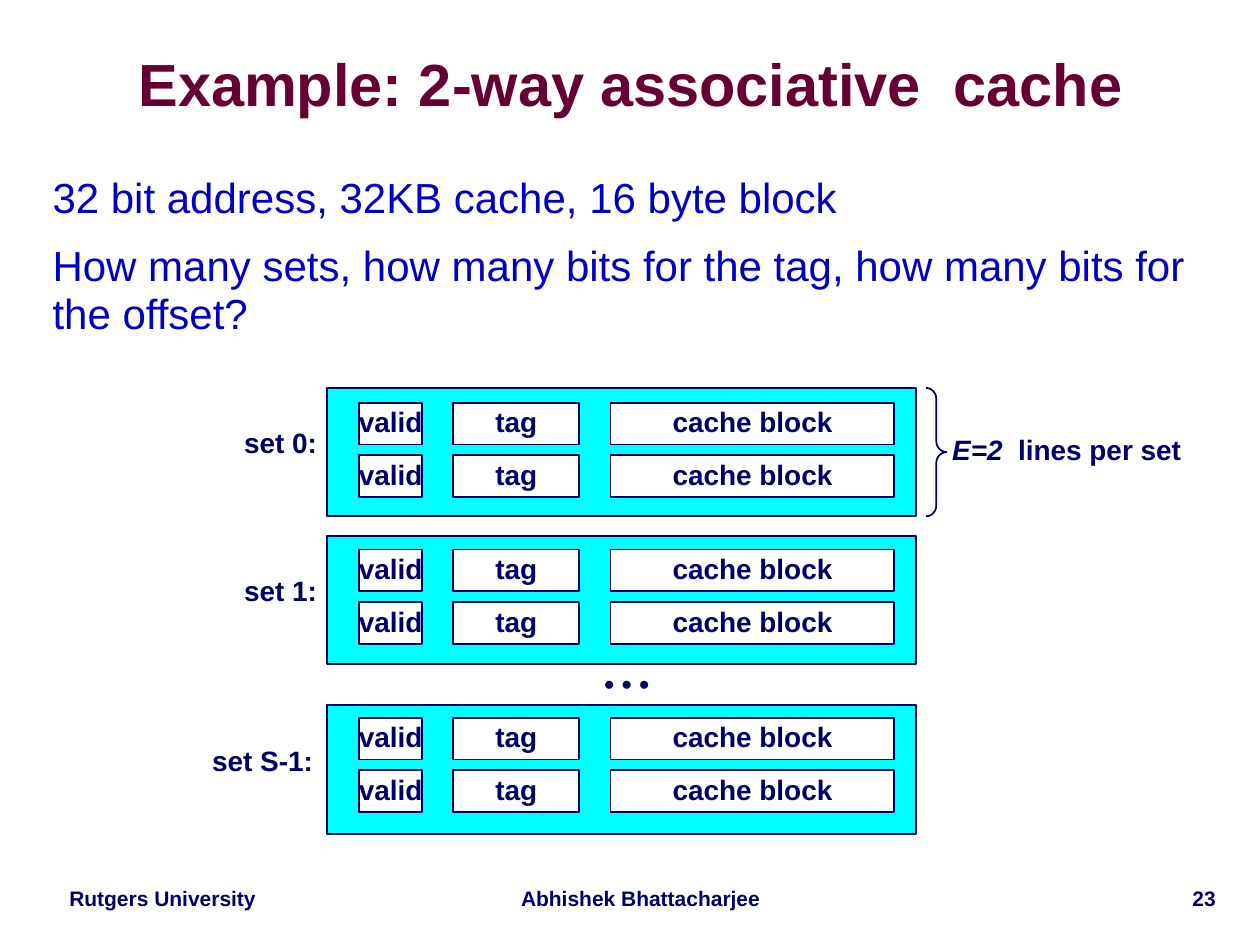
"""Builds the slide on a 2-way associative cache."""
from pptx import Presentation
from pptx.dml.color import RGBColor
from pptx.enum.shapes import MSO_SHAPE
from pptx.enum.text import MSO_ANCHOR, PP_ALIGN
from pptx.util import Cm, Pt

RECTANGLE, RIGHT_BRACE = MSO_SHAPE.RECTANGLE, MSO_SHAPE.RIGHT_BRACE
TOP, MIDDLE = MSO_ANCHOR.TOP, MSO_ANCHOR.MIDDLE
LEFT, CENTER, RIGHT = PP_ALIGN.LEFT, PP_ALIGN.CENTER, PP_ALIGN.RIGHT
NAVY = RGBColor(0x00, 0x00, 0x66)
BLUE = RGBColor(0x00, 0x00, 0xC0)
MAROON = RGBColor(0x66, 0x00, 0x33)
CYAN = RGBColor(0x00, 0xFF, 0xFF)
WHITE = RGBColor(0xFF, 0xFF, 0xFF)

presentation = Presentation()
presentation.slide_width, presentation.slide_height = Cm(25.4), Cm(19.05)
slide = presentation.slides.add_slide(presentation.slide_layouts[6])


def write(shape, paragraphs, size=16, color=NAVY, bold=True, align=CENTER,
          anchor=MIDDLE, wrap=False, spacing=0.9):
    """Fill a shape with paragraphs, each a list of (text, italic) runs."""
    frame = shape.text_frame
    frame.word_wrap = wrap
    frame.vertical_anchor = anchor
    for index, runs in enumerate(paragraphs):
        paragraph = frame.add_paragraph() if index else frame.paragraphs[0]
        paragraph.alignment = align
        paragraph.line_spacing = spacing
        if index:
            paragraph.space_before = Pt(size / 2)
        for text, italic in runs:
            run = paragraph.add_run()
            run.text = text
            font = run.font
            font.name, font.size, font.bold, font.italic = "Arial", Pt(size), bold, italic
            font.color.rgb = color
    return frame


def add_outline(kind, left, top, width, height, fill=None):
    """Add a navy-outlined shape, filled when a colour is given."""
    shape = slide.shapes.add_shape(kind, Cm(left), Cm(top), Cm(width), Cm(height))
    shape.shadow.inherit = False
    if fill is None:
        shape.fill.background()
    else:
        shape.fill.solid()
        shape.fill.fore_color.rgb = fill
    shape.line.color.rgb = NAVY
    shape.line.width = Pt(1)
    return shape


FOOTERS = [
    ("Rutgers University", 0.84, 4.88, CENTER),
    ("Abhishek Bhattacharjee", 10.16, 5.51, CENTER),
    ("23", 20.75, 4.01, RIGHT),
]
for text, left, width, align in FOOTERS:
    footer = slide.shapes.add_textbox(Cm(left), Cm(17.78), Cm(width), Cm(0.71))
    write(footer, [[(text, False)]], size=12, align=align, anchor=TOP, wrap=True)

title = slide.shapes.add_textbox(Cm(0.79), Cm(0.69), Cm(23.85), Cm(2.16))
title_frame = write(title, [[("Example: 2-way associative  cache", False)]], size=34,
                    color=MAROON, wrap=True, spacing=0.87)
title_frame.margin_left = title_frame.margin_right = 0
title_frame.margin_top = title_frame.margin_bottom = 0

QUESTIONS = [
    "32 bit address, 32KB cache, 16 byte block",
    "How many sets, how many bits for the tag, how many bits for the offset?",
]
body = slide.shapes.add_textbox(Cm(0.81), Cm(3.4), Cm(23.95), Cm(13.97))
write(body, [[(question, False)] for question in QUESTIONS], size=24, color=BLUE,
      bold=False, align=LEFT, anchor=TOP, wrap=True, spacing=0.95)

SET_LEFT, SET_WIDTH, SET_HEIGHT = 6.6, 11.86, 2.59
LINE_PITCH, LINE_HEIGHT, LINES_PER_SET = 1.06, 0.84, 2
FIELDS = [("valid", 7.24, 1.27), ("tag", 9.14, 2.54), ("cache block", 12.31, 5.72)]
SETS = [
    ("set 0:", 7.82, 8.12, 4.65, 2.01),
    ("set 1:", 10.8, 11.08, 4.65, 2.01),
    ("set S-1:", 14.22, 14.47, 4.01, 2.57),
]
for name, set_top, first_line_top, label_left, label_width in SETS:
    add_outline(RECTANGLE, SET_LEFT, set_top, SET_WIDTH, SET_HEIGHT, CYAN)
    label = slide.shapes.add_textbox(Cm(label_left), Cm(set_top + 0.7),
                                     Cm(label_width), Cm(0.89))
    write(label, [[(name, False)]])
    for line in range(LINES_PER_SET):
        line_top = first_line_top + line * LINE_PITCH
        for text, left, width in FIELDS:
            field = add_outline(RECTANGLE, left, line_top, width, LINE_HEIGHT, WHITE)
            write(field, [[(text, False)]])

brace = add_outline(RIGHT_BRACE, 18.67, SETS[0][1], 0.41, SET_HEIGHT)
brace.adjustments[0] = 0.54
brace_label = slide.shapes.add_textbox(Cm(18.9), Cm(8.66), Cm(5.21), Cm(0.89))
write(brace_label, [[("E=2", True), ("  lines per set", False)]])

ellipsis = slide.shapes.add_textbox(Cm(11.68), Cm(13.39), Cm(1.91), Cm(0.84))
write(ellipsis, [[("\u2022\u00a0\u2022\u00a0\u2022", False)]])

presentation.save("out.pptx")
